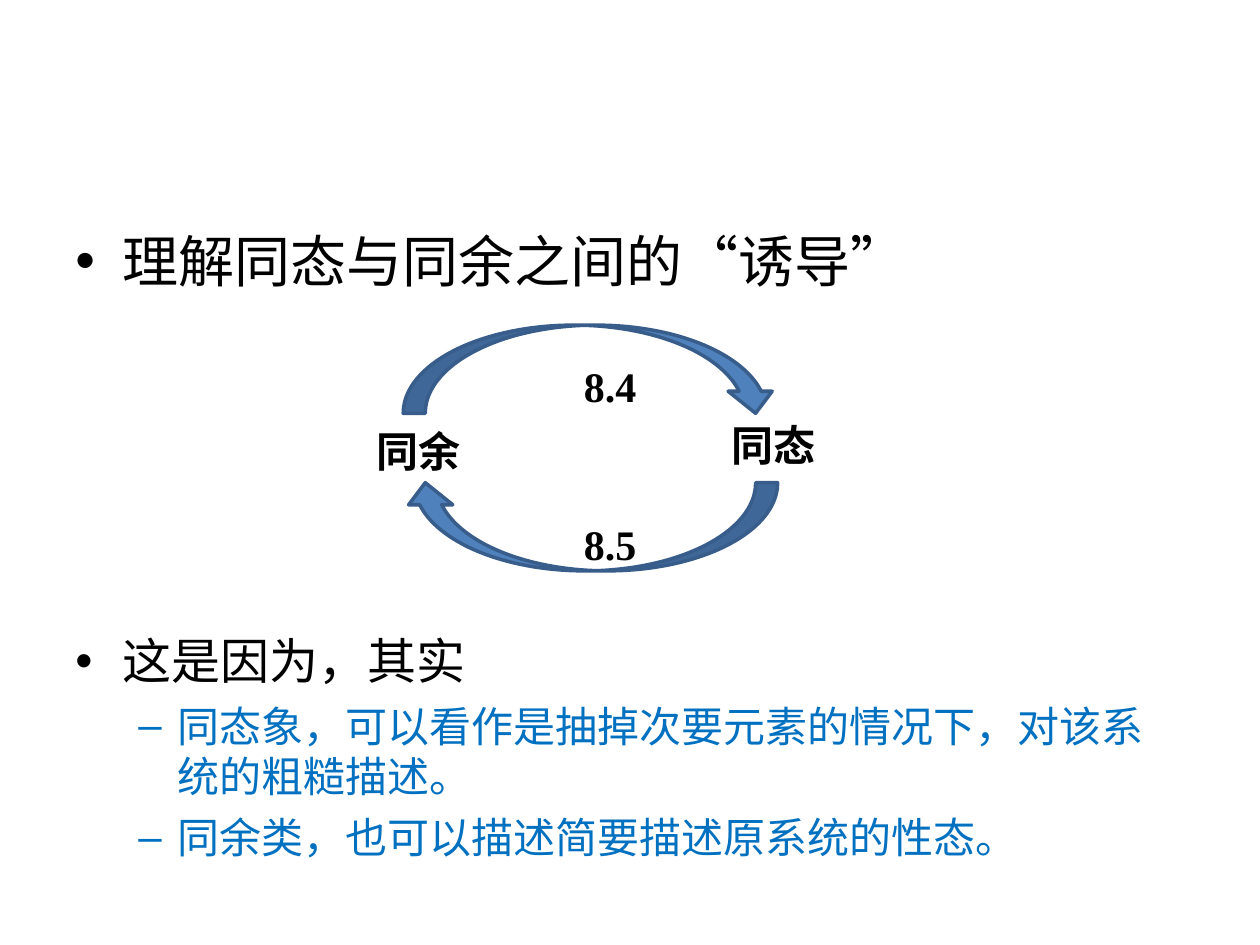
from lxml import etree
from pptx import Presentation
from pptx.dml.color import RGBColor
from pptx.enum.shapes import MSO_SHAPE
from pptx.oxml.ns import qn
from pptx.util import Pt

CURVED_ARROW = MSO_SHAPE.CURVED_DOWN_ARROW
BLACK = RGBColor(0x00, 0x00, 0x00)
ACCENT = RGBColor(0x00, 0x70, 0xC0)
ARROW_FILL = RGBColor(0x4F, 0x81, 0xBD)
ARROW_LINE = RGBColor(0x38, 0x5D, 0x8A)

POINT_STYLE = ("•", 27, 27, BLACK)
DETAIL_STYLE = ("–", 58.5, 22.5, ACCENT)
POINTS = [
    ("理解同态与同余之间的“诱导”", 0, 32, 8, POINT_STYLE),
    ("这是因为，其实", 0, 28, 192.5, POINT_STYLE),
    ("同态象，可以看作是抽掉次要元素的情况下，对该系统的粗糙描述。", 1, 24, 6, DETAIL_STYLE),
    ("同余类，也可以描述简要描述原系统的性态。", 1, 24, 6, DETAIL_STYLE),
]
LABELS = [
    ("同余", 208, 239.4, 84),
    ("同态", 411, 236.4, 66),
    ("8.4", 326.6, 202.6, 48),
    ("8.5", 326.6, 292.6, 48),
]
ARROWS = [(185.8, 0), (275.8, 180)]


def set_font(paragraph, name, size, color, bold=False):
    font = paragraph.font
    font.name = name
    font.size = Pt(size)
    font.color.rgb = color
    font.bold = bold


def set_bullet(paragraph, mark, margin, hang):
    properties = paragraph._p.get_or_add_pPr()
    properties.set("marL", str(Pt(margin)))
    properties.set("indent", str(-Pt(hang)))
    bullet_font = etree.Element(qn("a:buFont"), typeface="Arial")
    bullet = etree.Element(qn("a:buChar"), char=mark)
    defaults = properties.find(qn("a:defRPr"))
    defaults.addprevious(bullet_font)
    defaults.addprevious(bullet)


def add_points(slide):
    body = slide.shapes.add_textbox(Pt(36), Pt(126), Pt(648), Pt(374.4))
    frame = body.text_frame
    frame.word_wrap = True
    for index, (text, level, size, gap, style) in enumerate(POINTS):
        mark, margin, hang, color = style
        point = frame.add_paragraph() if index else frame.paragraphs[0]
        point.text = text
        point.level = level
        point.space_before = Pt(gap)
        set_font(point, "Arial", size, color)
        set_bullet(point, mark, margin, hang)


def add_label(slide, text, left, top, width):
    label = slide.shapes.add_textbox(Pt(left), Pt(top), Pt(width), Pt(36))
    label.text_frame.word_wrap = True
    paragraph = label.text_frame.paragraphs[0]
    paragraph.text = text
    set_font(paragraph, "Times New Roman", 24, BLACK, bold=True)


def add_arrow(slide, top, rotation):
    arrow = slide.shapes.add_shape(CURVED_ARROW, Pt(230.4), Pt(top), Pt(214), Pt(50.4))
    arrow.rotation = rotation
    arrow.shadow.inherit = False
    arrow.fill.solid()
    arrow.fill.fore_color.rgb = ARROW_FILL
    arrow.line.color.rgb = ARROW_LINE
    arrow.line.width = Pt(2)


def main():
    presentation = Presentation()
    presentation.slide_width = Pt(720)
    presentation.slide_height = Pt(540)
    slide = presentation.slides.add_slide(presentation.slide_layouts[6])
    add_points(slide)
    for top, rotation in ARROWS:
        add_arrow(slide, top, rotation)
    for label in LABELS:
        add_label(slide, *label)
    presentation.save("out.pptx")


if __name__ == "__main__":
    main()
